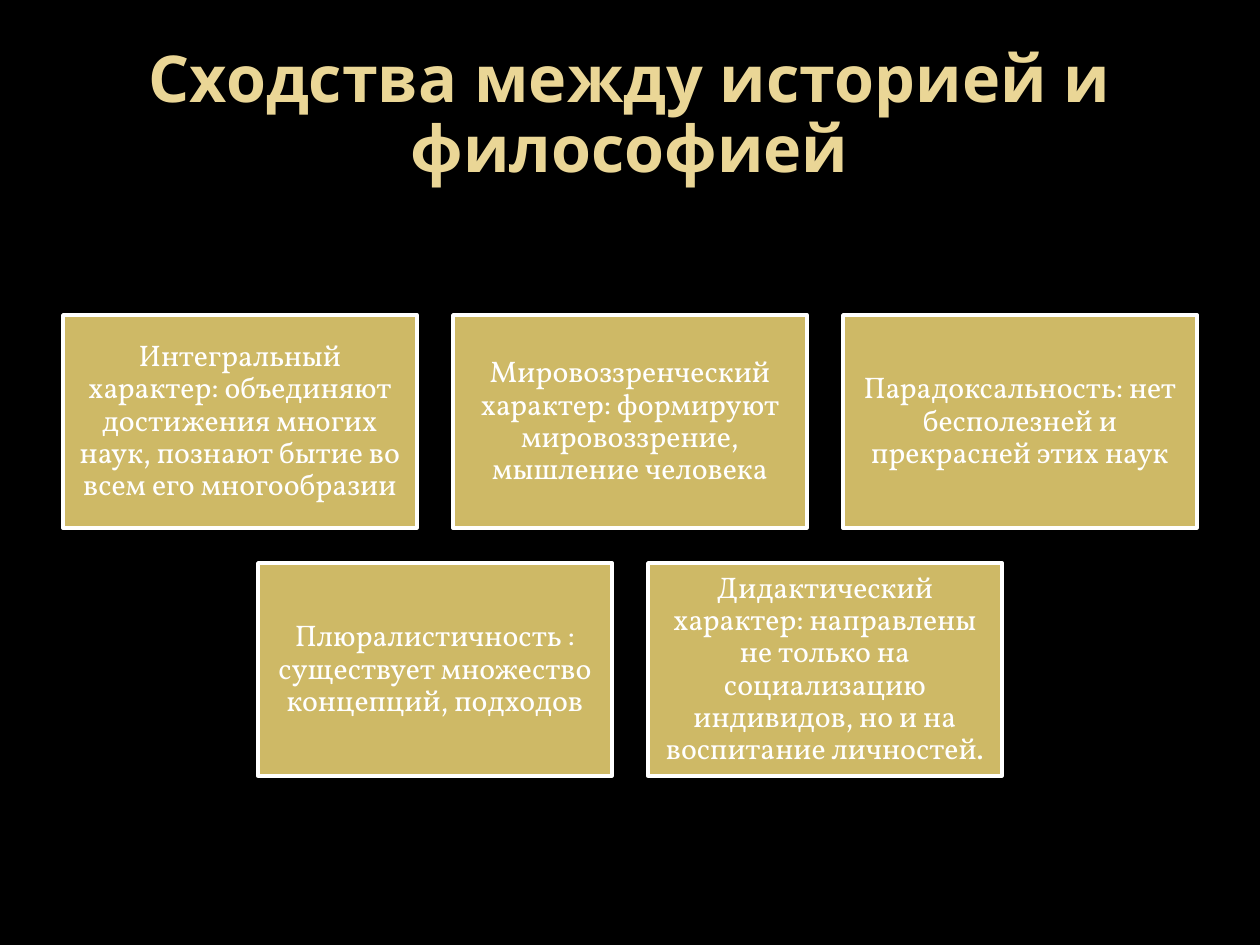
"""Build a slide listing what history and philosophy have in common."""
from dataclasses import dataclass

import pptx
import pptx.dml.color
import pptx.enum.shapes
import pptx.enum.text
import pptx.util

UNIT = 914400 / 126
WIDE, HIGH = 1260, 945
CARD_W, CARD_H = 354, 213
GAP, TOP, PAD = 36, 315, 9
HUES = {"back": "000000", "title": "EAD696", "card": "CEB966", "text": "FFFFFF"}
TITLE = "Сходства между историей и философией"
ROWS = [
    [
        "Интегральный характер: объединяют достижения многих наук, "
        "познают бытие во всем его многообразии",
        "Мировоззренческий характер: формируют мировоззрение, мышление человека",
        "Парадоксальность: нет бесполезней и прекрасней этих наук",
    ],
    [
        "Плюралистичность : существует множество концепций, подходов",
        "Дидактический характер: направлены не только на социализацию "
        "индивидов, но и на воспитание личностей.",
    ],
]


@dataclass
class Card:
    left: int
    top: int
    text: str


def px(count: int) -> pptx.util.Emu:
    return pptx.util.Emu(round(count * UNIT))


def hue(name: str) -> pptx.dml.color.RGBColor:
    return pptx.dml.color.RGBColor.from_string(HUES[name])


def style(para, face: str, size: float, tint: str, bold: bool) -> None:
    para.alignment = pptx.enum.text.PP_ALIGN.CENTER
    para.line_spacing = 0.9
    para.font.name = face
    para.font.size = pptx.util.Pt(size)
    para.font.bold = bold
    para.font.color.rgb = hue(tint)


def draw_title(slide) -> None:
    title = slide.shapes.title
    title.left, title.top = px(63), px(38)
    title.width, title.height = px(1134), px(157)
    frame = title.text_frame
    frame.text = TITLE
    frame.word_wrap = True
    frame.auto_size = pptx.enum.text.MSO_AUTO_SIZE.NONE
    frame.vertical_anchor = pptx.enum.text.MSO_ANCHOR.MIDDLE
    style(frame.paragraphs[0], "Noto Sans", 36.9, "title", True)


def lay_out() -> list[Card]:
    cards = []
    for row, texts in enumerate(ROWS):
        span = len(texts) * (CARD_W + GAP) - GAP
        start = (WIDE - span) // 2
        for col, text in enumerate(texts):
            left = start + col * (CARD_W + GAP)
            cards.append(Card(left, TOP + row * (CARD_H + GAP - 1), text))
    return cards


def draw_card(slide, card: Card) -> None:
    box = slide.shapes.add_shape(
        pptx.enum.shapes.MSO_SHAPE.RECTANGLE,
        px(card.left), px(card.top), px(CARD_W), px(CARD_H),
    )
    box.shadow.inherit = False
    box.fill.solid()
    box.fill.fore_color.rgb = hue("card")
    box.line.color.rgb = hue("text")
    box.line.width = pptx.util.Pt(2)
    frame = box.text_frame
    frame.text = card.text
    frame.word_wrap = True
    frame.vertical_anchor = pptx.enum.text.MSO_ANCHOR.MIDDLE
    frame.margin_left = frame.margin_right = px(PAD)
    frame.margin_top = frame.margin_bottom = px(PAD)
    style(frame.paragraphs[0], "Vollkorn", 17, "text", False)


def main() -> None:
    deck = pptx.Presentation()
    deck.slide_width, deck.slide_height = px(WIDE), px(HIGH)
    slide = deck.slides.add_slide(deck.slide_layouts[5])
    slide.background.fill.solid()
    slide.background.fill.fore_color.rgb = hue("back")
    draw_title(slide)
    for card in lay_out():
        draw_card(slide, card)
    deck.save("out.pptx")


if __name__ == "__main__":
    main()
